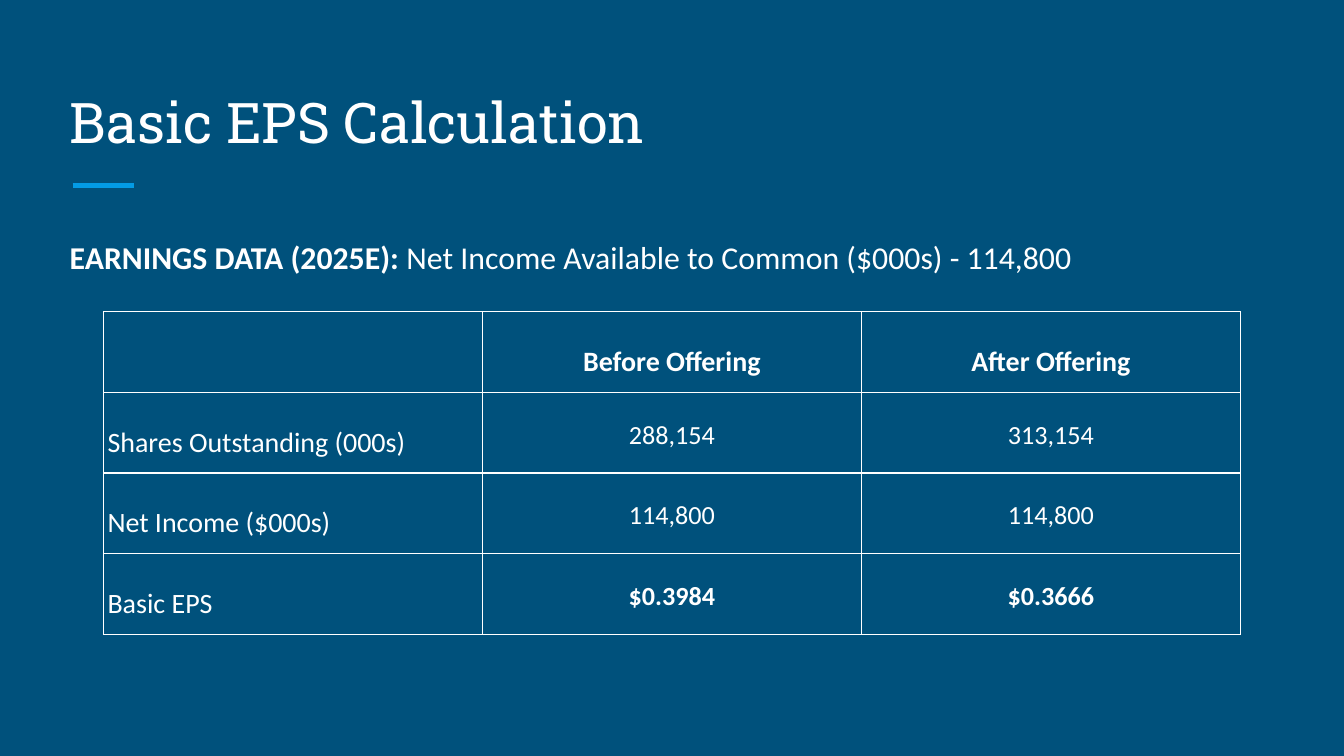
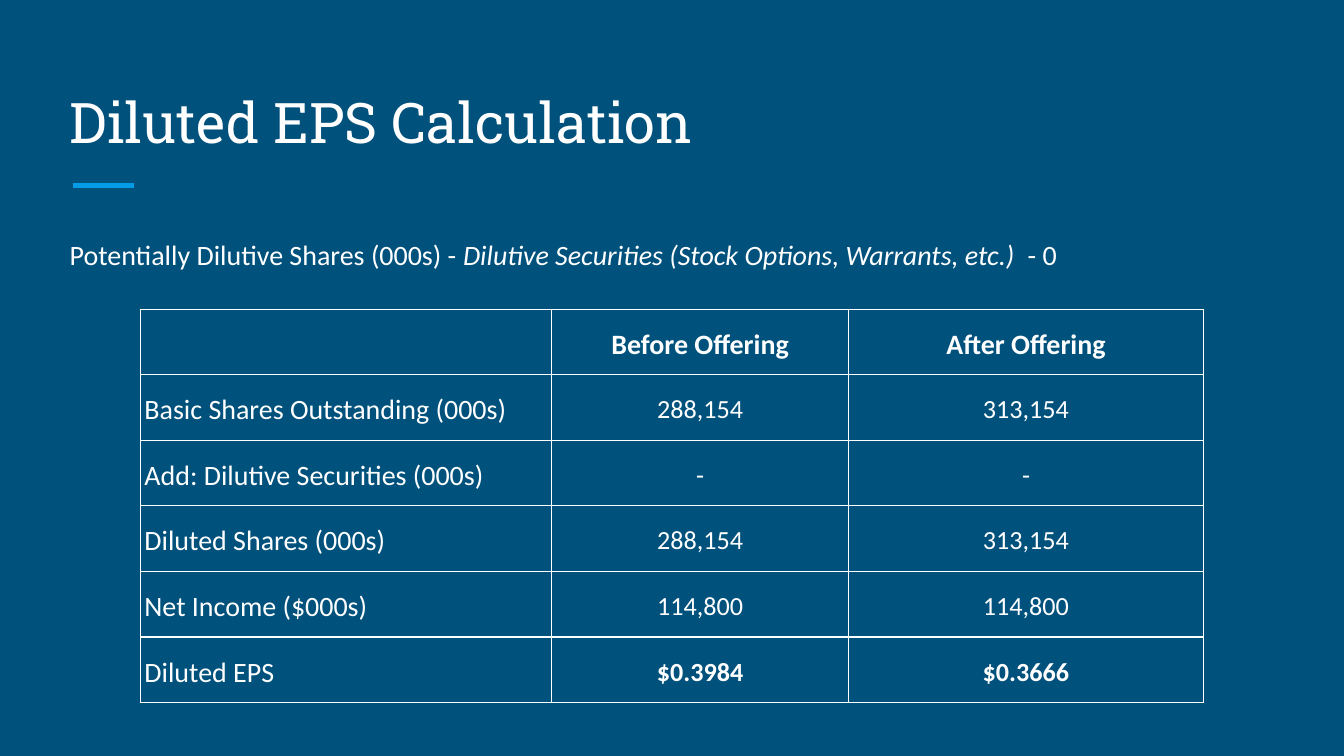
import lxml.etree
import pptx
import pptx.dml.color
import pptx.enum.shapes
import pptx.enum.text
import pptx.oxml.ns
import pptx.util

Inches, Pt = pptx.util.Inches, pptx.util.Pt
ALIGN = pptx.enum.text.PP_ALIGN
ANCHOR = pptx.enum.text.MSO_ANCHOR
qn = pptx.oxml.ns.qn

# Shared look
NAVY = pptx.dml.color.RGBColor(0x00, 0x51, 0x7C)
SKY = pptx.dml.color.RGBColor(0x03, 0x9B, 0xE5)
WHITE = pptx.dml.color.RGBColor(0xFF, 0xFF, 0xFF)
TITLE_FONT, TEXT_FONT = "Roboto Slab", "Calibri"
LABEL_SIZE, FIGURE_SIZE = 15, 14
LINE_SPACING = 1.15

# Shared grid, in inches, on a 16:9 slide
SLIDE_W = 10
SLIDE_H = SLIDE_W * 9 / 16
MARGIN, CONTENT_W = 0.42, 9.15
INSET = 0.1
TITLE_TOP, TITLE_H = 0.5, 0.75
RULE_LEFT, RULE_RIGHT, RULE_TOP = 0.54, 1, 1.38
BODY_TOP, BODY_H = 1.63, 3.37


def style_font(font, name, size, bold=None):
    font.name = name
    font.color.rgb = WHITE
    font.size = Pt(size)
    font.bold = bold


def set_insets(frame, side, vertical):
    frame.margin_left = frame.margin_right = Inches(side)
    frame.margin_top = frame.margin_bottom = Inches(vertical)


def add_titled_slide(deck, title_text):
    slide = deck.slides.add_slide(deck.slide_layouts[5])
    slide.background.fill.solid()
    slide.background.fill.fore_color.rgb = NAVY

    # Short accent rule under the title
    rule = slide.shapes.add_connector(
        pptx.enum.shapes.MSO_CONNECTOR.STRAIGHT, Inches(RULE_LEFT),
        Inches(RULE_TOP), Inches(RULE_RIGHT), Inches(RULE_TOP))
    rule.line.color.rgb = SKY
    rule.line.width = Pt(3)
    lxml.etree.SubElement(rule._element.spPr, qn("a:effectLst"))

    # Title
    title = slide.shapes.title
    title.left, title.top = Inches(MARGIN), Inches(TITLE_TOP)
    title.width, title.height = Inches(CONTENT_W), Inches(TITLE_H)
    frame = title.text_frame
    frame.text = title_text
    frame.auto_size = pptx.enum.text.MSO_AUTO_SIZE.NONE
    frame.vertical_anchor = ANCHOR.BOTTOM
    set_insets(frame, INSET, INSET)
    heading = frame.paragraphs[0]
    heading.alignment = ALIGN.LEFT
    style_font(heading.font, TITLE_FONT, 30)
    return slide


def add_lead(slide, size, parts):
    """Add the lead sentence from (text, bold, italic) parts."""
    box = slide.shapes.add_textbox(Inches(MARGIN), Inches(BODY_TOP),
                                   Inches(CONTENT_W), Inches(BODY_H))
    frame = box.text_frame
    frame.word_wrap = True
    set_insets(frame, INSET, INSET)
    lead = frame.paragraphs[0]
    lead.line_spacing = LINE_SPACING
    style_font(lead.font, TEXT_FONT, size)
    for text, bold, italic in parts:
        run = lead.add_run()
        run.text = text
        run.font.bold, run.font.italic = bold, italic


def add_borders(cell):
    properties = cell._tc.get_or_add_tcPr()
    for side in ("a:lnL", "a:lnR", "a:lnT", "a:lnB"):
        line = lxml.etree.SubElement(properties, qn(side), w=str(Pt(0.75)))
        fill = lxml.etree.SubElement(line, qn("a:solidFill"))
        lxml.etree.SubElement(fill, qn("a:srgbClr"), val=str(WHITE))


def fill_cell(cell, text, is_label, is_figure, is_bold):
    add_borders(cell)
    if is_figure:
        cell.fill.solid()
        cell.fill.fore_color.rgb = NAVY
    else:
        cell.fill.background()
    set_insets(cell, 0.03, INSET if text else 0)
    cell.vertical_anchor = ANCHOR.MIDDLE if is_figure else ANCHOR.BOTTOM
    cell.text = text
    entry = cell.text_frame.paragraphs[0]
    entry.alignment = ALIGN.LEFT if is_label else ALIGN.CENTER
    entry.line_spacing = LINE_SPACING
    style_font(entry.font, TEXT_FONT,
               FIGURE_SIZE if is_figure else LABEL_SIZE, is_bold)


def add_eps_table(slide, top, column_widths, row_height, rows):
    """Add a centred table whose last row holds the bold result."""
    rows = [("", "Before Offering", "After Offering"), *rows]
    width = sum(column_widths)
    table = slide.shapes.add_table(
        len(rows), len(column_widths), Inches((SLIDE_W - width) / 2),
        Inches(top), Inches(width), Inches(row_height * len(rows))).table
    table.first_row = table.horz_banding = False
    for column, column_width in zip(table.columns, column_widths):
        column.width = Inches(column_width)
    last = len(rows) - 1
    for r, row in enumerate(rows):
        table.rows[r].height = Inches(row_height)
        for c, text in enumerate(row):
            fill_cell(table.cell(r, c), text, is_label=c == 0,
                      is_figure=r > 0 and c > 0,
                      is_bold=c > 0 and r in (0, last))


def main():
    deck = pptx.Presentation()
    deck.slide_width, deck.slide_height = Inches(SLIDE_W), Inches(SLIDE_H)
    net_income = ("Net Income ($000s)", "114,800", "114,800")
    shares = ("288,154", "313,154")
    eps = ("$0.3984", "$0.3666")

    # Basic EPS
    basic = add_titled_slide(deck, "Basic EPS Calculation")
    add_lead(basic, 17, [
        ("EARNINGS DATA (2025E): ", True, False),
        ("Net Income Available to Common ($000s) - 114,800", False, False)])
    add_eps_table(basic, 2.32, [2.82] * 3, 0.6, [
        ("Shares Outstanding (000s)", *shares),
        net_income,
        ("Basic EPS", *eps)])

    # Diluted EPS
    diluted = add_titled_slide(deck, "Diluted EPS Calculation")
    add_lead(diluted, 15, [
        ("Potentially Dilutive Shares (000s) - ", False, False),
        ("Dilutive Securities (Stock Options, Warrants, etc.) ", False, True),
        (" - 0", False, False)])
    add_eps_table(diluted, 2.3, [3.06, 2.21, 2.64], 0.42, [
        ("Basic Shares Outstanding (000s)", *shares),
        ("Add: Dilutive Securities (000s)", "-", "-"),
        ("Diluted Shares (000s)", *shares),
        net_income,
        ("Diluted EPS", *eps)])

    deck.save("out.pptx")


if __name__ == "__main__":
    main()
